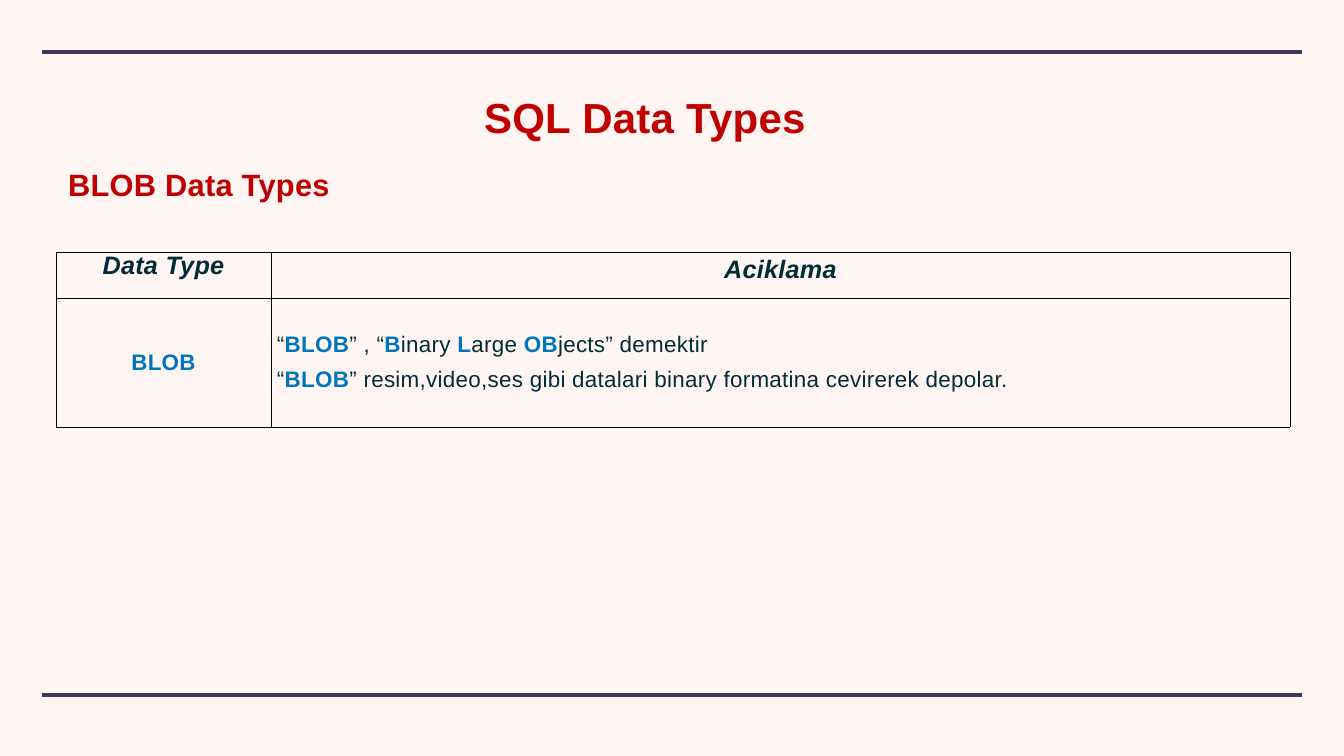
from dataclasses import dataclass
from lxml.etree import SubElement
from pptx import Presentation
from pptx.dml.color import RGBColor
from pptx.enum.shapes import MSO_CONNECTOR
from pptx.enum.text import MSO_ANCHOR, PP_ALIGN
from pptx.oxml.ns import qn
from pptx.util import Emu, Pt


@dataclass(frozen=True)
class Theme:
    font: str = "Arial"
    background: str = "FFF5F2"
    rule: str = "443658"
    heading: str = "C00000"
    ink: str = "002C39"
    accent: str = "0076BA"
    border: str = "000000"
    title_size: int = 60
    subtitle_size: int = 44
    header_size: int = 36
    body_size: int = 32
    tracking: int = 40
    rule_width: int = 6
    border_width: int = 1


THEME = Theme()
SLIDE_WIDTH, SLIDE_HEIGHT = 1344, 756
EMU_PER_PX = 914400 / 50.4

HEADING = {"bold": True, "color": THEME.heading}
HEADER = {"bold": True, "italic": True, "color": THEME.ink, "size": THEME.header_size}
PLAIN = {"bold": False, "color": THEME.ink, "size": THEME.body_size}
STRONG = {"bold": True, "color": THEME.accent, "size": THEME.body_size}

DESCRIPTION = [
    [("“", PLAIN), ("BLOB", STRONG), ("” , “", PLAIN), ("B", STRONG),
     ("inary ", PLAIN), ("L", STRONG), ("arge ", PLAIN), ("OB", STRONG),
     ("jects” demektir", PLAIN)],
    [("“", PLAIN), ("BLOB", STRONG),
     ("” resim,video,ses gibi datalari binary formatina cevirerek depolar.", PLAIN)],
]


def px(length):
    return Emu(round(length * EMU_PER_PX))


def set_attributes(target, values):
    for name, value in values.items():
        setattr(target, name, value)


def add_run(paragraph, text, style):
    run = paragraph.add_run()
    run.text = text
    values = dict(style)
    run.font.color.rgb = RGBColor.from_string(values.pop("color"))
    values["size"] = Pt(values["size"])
    set_attributes(run.font, {"name": THEME.font, **values})
    run.font._element.set("spc", str(THEME.tracking))


def write_paragraphs(text_frame, paragraphs, **layout):
    for index, runs in enumerate(paragraphs):
        paragraph = text_frame.add_paragraph() if index else text_frame.paragraphs[0]
        set_attributes(paragraph, layout)
        for text, style in runs:
            add_run(paragraph, text, style)


def add_rule(slide, y):
    rule = slide.shapes.add_connector(
        MSO_CONNECTOR.STRAIGHT, px(42), px(y), px(1302), px(y))
    rule.line.color.rgb = RGBColor.from_string(THEME.rule)
    rule.line.width = Pt(THEME.rule_width)
    SubElement(rule._element.spPr, qn("a:effectLst"))


def format_heading(shape, text, size, left, top, width, height):
    set_attributes(shape, {"left": px(left), "top": px(top),
                           "width": px(width), "height": px(height)})
    set_attributes(shape.text_frame, {
        "word_wrap": False, "vertical_anchor": MSO_ANCHOR.MIDDLE,
        "margin_left": 0, "margin_right": 0, "margin_top": 0, "margin_bottom": 0})
    write_paragraphs(shape.text_frame, [[(text, {**HEADING, "size": size})]],
                     alignment=PP_ALIGN.CENTER, line_spacing=1.0, space_before=Pt(0))


def add_borders(cell):
    properties = cell._tc.get_or_add_tcPr()
    for side in ("lnL", "lnR", "lnT", "lnB"):
        line = SubElement(properties, qn(f"a:{side}"), w=str(Pt(THEME.border_width)))
        fill = SubElement(line, qn("a:solidFill"))
        SubElement(fill, qn("a:srgbClr"), val=THEME.border)


def fill_cell(cell, paragraphs, anchor, margin_left=0, **layout):
    set_attributes(cell, {"vertical_anchor": anchor, "margin_left": px(margin_left),
                          "margin_right": 0, "margin_top": 0, "margin_bottom": 0})
    add_borders(cell)
    cell.fill.background()
    write_paragraphs(cell.text_frame, paragraphs, **layout)


def add_type_table(slide):
    columns, rows = (215, 1019), (46, 129)
    table = slide.shapes.add_table(
        len(rows), len(columns), px(56), px(252), px(sum(columns)), px(sum(rows))).table
    set_attributes(table, {"first_row": False, "horz_banding": False})
    for column, width in zip(table.columns, columns):
        column.width = px(width)
    for row, height in zip(table.rows, rows):
        row.height = px(height)

    # Header row
    for index, (text, spacing) in enumerate((("Data Type", 1.0), ("Aciklama", 1.12))):
        fill_cell(table.cell(0, index), [[(text, HEADER)]], MSO_ANCHOR.TOP,
                  alignment=PP_ALIGN.CENTER, line_spacing=spacing)

    # Body row
    fill_cell(table.cell(1, 0), [[("BLOB", STRONG)]], MSO_ANCHOR.MIDDLE,
              alignment=PP_ALIGN.CENTER)
    fill_cell(table.cell(1, 1), DESCRIPTION, MSO_ANCHOR.MIDDLE, margin_left=6,
              alignment=PP_ALIGN.LEFT, space_before=Pt(7), space_after=Pt(7))


def main():
    presentation = Presentation()
    set_attributes(presentation, {"slide_width": px(SLIDE_WIDTH),
                                  "slide_height": px(SLIDE_HEIGHT)})
    slide = presentation.slides.add_slide(presentation.slide_layouts[5])
    background = slide.background.fill
    background.solid()
    background.fore_color.rgb = RGBColor.from_string(THEME.background)

    # Rules at head and foot
    for y in (52, 695):
        add_rule(slide, y)

    # Headings
    format_heading(slide.shapes.title, "SQL Data Types", THEME.title_size,
                   475, 89, 340, 56)
    subtitle = slide.shapes.add_textbox(0, 0, 0, 0)
    format_heading(subtitle, "BLOB Data Types", THEME.subtitle_size, 62, 163, 274, 42)

    add_type_table(slide)
    presentation.save("out.pptx")


if __name__ == "__main__":
    main()
